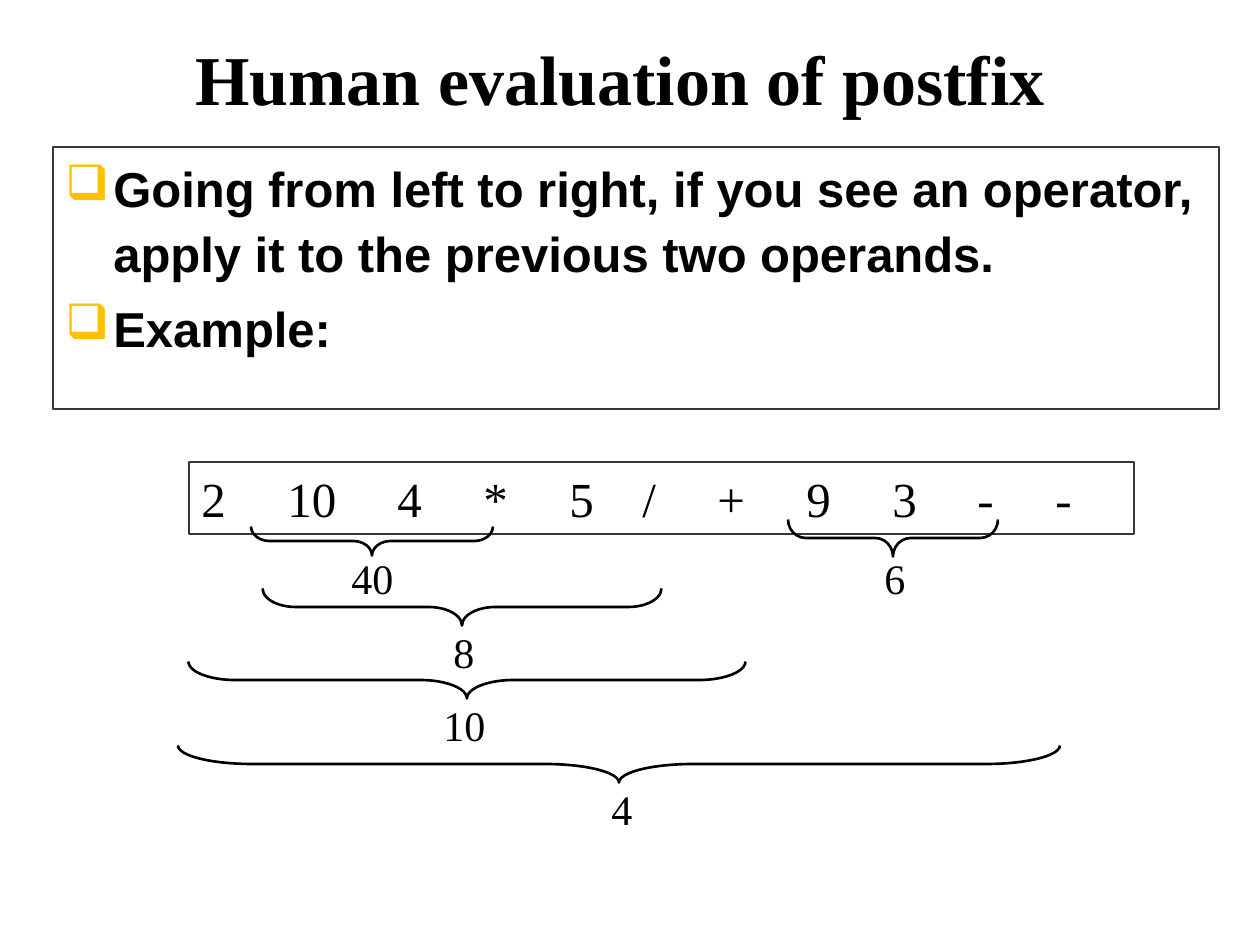
"""Build the slide on human evaluation of postfix."""
from lxml import etree
from pptx import Presentation
from pptx.dml.color import RGBColor
from pptx.enum.shapes import MSO_SHAPE
from pptx.enum.text import MSO_ANCHOR, PP_ALIGN
from pptx.oxml.ns import qn
from pptx.util import Emu, Pt

RECT, BRACE = MSO_SHAPE.RECTANGLE, MSO_SHAPE.LEFT_BRACE
TOP, BOTTOM = MSO_ANCHOR.TOP, MSO_ANCHOR.BOTTOM
LEFT, CENTER = PP_ALIGN.LEFT, PP_ALIGN.CENTER
SCALE = 914400 / 126
HUES = {"ink": "000000", "edge": "393939", "mark": "FFC000"}
SERIF, SANS = "Times New Roman", "Arial"


def place(kind, box, hue=None, width=0.75):
    spot = [Emu(round(v * SCALE)) for v in box]
    if kind is None:
        item = slide.shapes.add_textbox(*spot)
    else:
        item = slide.shapes.add_shape(kind, *spot)
        item.shadow.inherit = False
        item.fill.background()
        item.line.color.rgb = RGBColor.from_string(HUES[hue])
        item.line.width = Pt(width)
    item.text_frame.word_wrap = True
    item.text_frame.vertical_anchor = TOP
    return item


def style(para, size, face=SERIF, bold=False, align=LEFT):
    para.alignment = align
    font = para.font
    font.size, font.name, font.bold = Pt(size), face, bold
    font.color.rgb = RGBColor.from_string(HUES["ink"])


deck = Presentation()
deck.slide_width = Emu(round(1260 * SCALE))
deck.slide_height = Emu(round(945 * SCALE))
slide = deck.slides.add_slide(deck.slide_layouts[6])

title = place(None, (53, 32, 1134, 94)).text_frame
title.vertical_anchor = BOTTOM
title.text = "Human evaluation of postfix"
style(title.paragraphs[0], 40, bold=True, align=CENTER)

body = place(RECT, (53, 147, 1166, 262), "edge").text_frame
body.text = (
    "Going from left to right, if you see an operator, "
    "apply it to the previous two operands.\nExample:"
)
dent = round(48 * SCALE)
for i, para in enumerate(body.paragraphs):
    para.line_spacing = 1.1
    para.space_before = Pt(5.6 * i)
    props = para._p.get_or_add_pPr()
    props.set("marL", str(dent))
    props.set("indent", str(-dent))
    tint = etree.SubElement(props, qn("a:buClr"))
    etree.SubElement(tint, qn("a:srgbClr"), val=HUES["mark"])
    etree.SubElement(props, qn("a:buChar"), char="❑")
    style(para, 28, SANS, True)

terms = "2 10 4 * 5 / + 9 3 - -".split()
stops = [86, 196, 282, 368, 441, 516, 605, 691, 776, 854]
row = place(RECT, (189, 462, 945, 72), "edge").text_frame
row.text = "\t".join(terms)
para = row.paragraphs[0]
tabs = etree.SubElement(para._p.get_or_add_pPr(), qn("a:tabLst"))
for stop in stops:
    etree.SubElement(tabs, qn("a:tab"), pos=str(round(stop * SCALE)), algn="l")
style(para, 28)

steps = [
    ("40", 372, 541, 242, 29, 0.64, (339, 546, 77)),
    ("8", 462, 607, 399, 37, 0.9, (441, 620, 63)),
    ("10", 467, 680, 557, 37, 1.26, (431, 693, 84)),
    ("6", 893, 538, 210, 37, 0.48, (872, 546, 53)),
    ("4", 619, 764, 882, 37, 2, (599, 777, 63)),
]
for text, x, y, span, deep, curl, spot in steps:
    box = (x - deep / 2, y - span / 2, deep, span)
    brace = place(BRACE, box, "ink", 1.5)
    brace.rotation = 270
    brace.adjustments[0] = curl
    label = place(None, (*spot, 63)).text_frame
    label.text = text
    style(label.paragraphs[0], 24)

deck.save("out.pptx")
